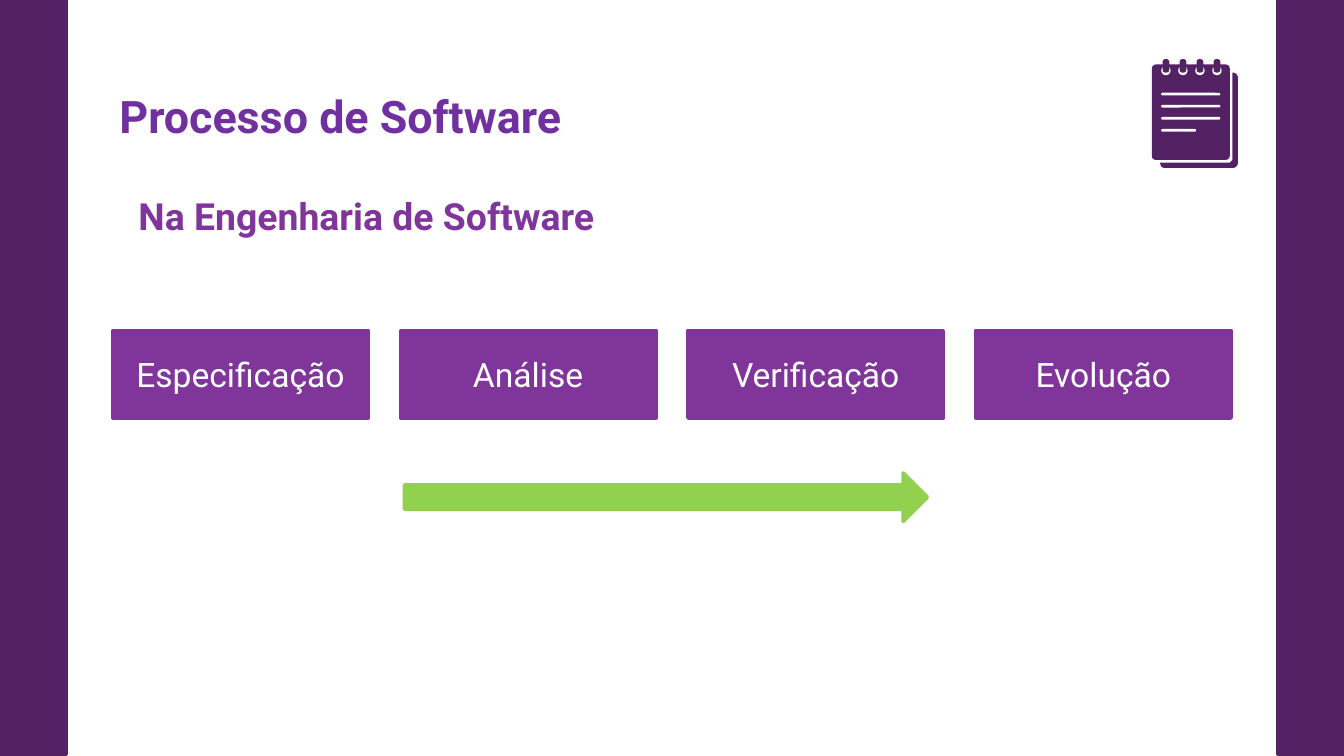
from pptx import Presentation
from pptx.dml.color import RGBColor
from pptx.enum.shapes import MSO_SHAPE
from pptx.enum.text import MSO_ANCHOR, PP_ALIGN
from pptx.util import Inches, Pt

THEME = {
    "font": "Roboto",
    "dark": "532264", "purple": "80359B", "title": "7030A0",
    "green": "92D050", "white": "FFFFFF",
    "title_size": 24, "subtitle_size": 20, "step_size": 18, "line": 2,
}
TITLE = "Processo de Software"
SUBTITLE = "Na Engenharia de Software"
STEPS = ["Especificação", "Análise", "Verificação", "Evolução"]
STEP_LEFT, STEP_TOP, STEP_PITCH = 0.84, 2.46, 2.14
STEP_WIDTH, STEP_HEIGHT = 1.9, 0.65
BAR_LEFTS = [9.51, 0]
BAR_WIDTH, BAR_HEIGHT = 0.49, 5.61
BACK_PAGE = [(9.17, 0.54), (9.17, 1.19), (9.15, 1.21), (8.63, 1.21), (8.64, 1.24),
             (8.66, 1.25), (9.18, 1.25), (9.2, 1.24), (9.21, 1.22), (9.21, 0.57),
             (9.2, 0.55), (9.18, 0.54)]
FRONT_PAGE = (8.57, 0.48, 0.58, 0.71)
RING_LEFT, RING_SPAN, RING_COUNT = 8.65, 0.38, 4
NOTE_LENGTHS = [0.44, 0.44, 0.44, 0.26]
NOTE_LEFT, NOTE_TOP, NOTE_PITCH = 8.64, 0.69, 0.09


def color(name):
    return RGBColor.from_string(THEME[name])


def paint(sp, fill, outlined):
    sp.shadow.inherit = False
    sp.fill.solid()
    sp.fill.fore_color.rgb = color(fill)
    if outlined:
        sp.line.color.rgb = color(fill)
        sp.line.width = Pt(THEME["line"])
    else:
        sp.line.fill.background()
    return sp


def add_block(s, kind, box, fill, outlined=False):
    return paint(s.shapes.add_shape(kind, *map(Inches, box)), fill, outlined)


def write(sp, text, size, fill, bold=False, margin=0.1, para=None, anchor=MSO_ANCHOR.TOP):
    tf = sp.text_frame
    frame = {"word_wrap": True, "vertical_anchor": anchor}
    for side in ("left", "right", "top", "bottom"):
        frame[f"margin_{side}"] = Inches(margin)
    for key, value in frame.items():
        setattr(tf, key, value)
    p = tf.paragraphs[0]
    for key, value in (para or {}).items():
        setattr(p, key, value)
    r = p.add_run()
    r.text = text
    for key, value in {"name": THEME["font"], "size": Pt(THEME[size]), "bold": bold}.items():
        setattr(r.font, key, value)
    r.font.color.rgb = color(fill)


def add_text(s, box, *args, **kwargs):
    write(s.shapes.add_textbox(*map(Inches, box)), *args, **kwargs)


def add_notepad(s):
    points = [(Inches(x), Inches(y)) for x, y in BACK_PAGE]
    builder = s.shapes.build_freeform(*points[0])
    builder.add_line_segments(points[1:], close=True)
    paint(builder.convert_to_shape(), "dark", False)

    page = add_block(s, MSO_SHAPE.ROUNDED_RECTANGLE, FRONT_PAGE, "dark")
    page.adjustments[0] = 0.05
    for i in range(RING_COUNT):
        left = RING_LEFT + i * RING_SPAN / (RING_COUNT - 1)
        add_block(s, MSO_SHAPE.OVAL, (left - 0.01, 0.49, 0.07, 0.07), "white")
        ring = add_block(s, MSO_SHAPE.ROUNDED_RECTANGLE, (left, 0.44, 0.05, 0.1), "dark")
        ring.adjustments[0] = 0.4
    for i, length in enumerate(NOTE_LENGTHS):
        box = (NOTE_LEFT, NOTE_TOP + i * NOTE_PITCH, length, 0.02)
        note = add_block(s, MSO_SHAPE.ROUNDED_RECTANGLE, box, "white")
        note.adjustments[0] = 0.5


def main():
    prs = Presentation()
    prs.slide_width = Inches(10)
    prs.slide_height = prs.slide_width * 9 // 16
    s = prs.slides.add_slide(prs.slide_layouts[6])

    for left in BAR_LEFTS:
        add_block(s, MSO_SHAPE.RECTANGLE, (left, 0, BAR_WIDTH, BAR_HEIGHT), "dark", True)
    add_notepad(s)
    add_text(s, (0.79, 0.56, 5.47, 0.65), TITLE, "title_size", "title", bold=True)
    for i, step in enumerate(STEPS):
        box = (STEP_LEFT + i * STEP_PITCH, STEP_TOP, STEP_WIDTH, STEP_HEIGHT)
        sp = add_block(s, MSO_SHAPE.RECTANGLE, box, "purple", True)
        write(sp, step, "step_size", "white", para={"alignment": PP_ALIGN.CENTER},
              anchor=MSO_ANCHOR.MIDDLE)
    add_block(s, MSO_SHAPE.RIGHT_ARROW, (3.01, 3.52, 3.89, 0.36), "green", True)
    add_text(s, (1.03, 1.39, 8.11, 0.57), SUBTITLE, "subtitle_size", "purple", bold=True,
             margin=0, para={"alignment": PP_ALIGN.JUSTIFY, "line_spacing": 1.15,
                             "space_before": Pt(6)})
    prs.save("out.pptx")


if __name__ == "__main__":
    main()
